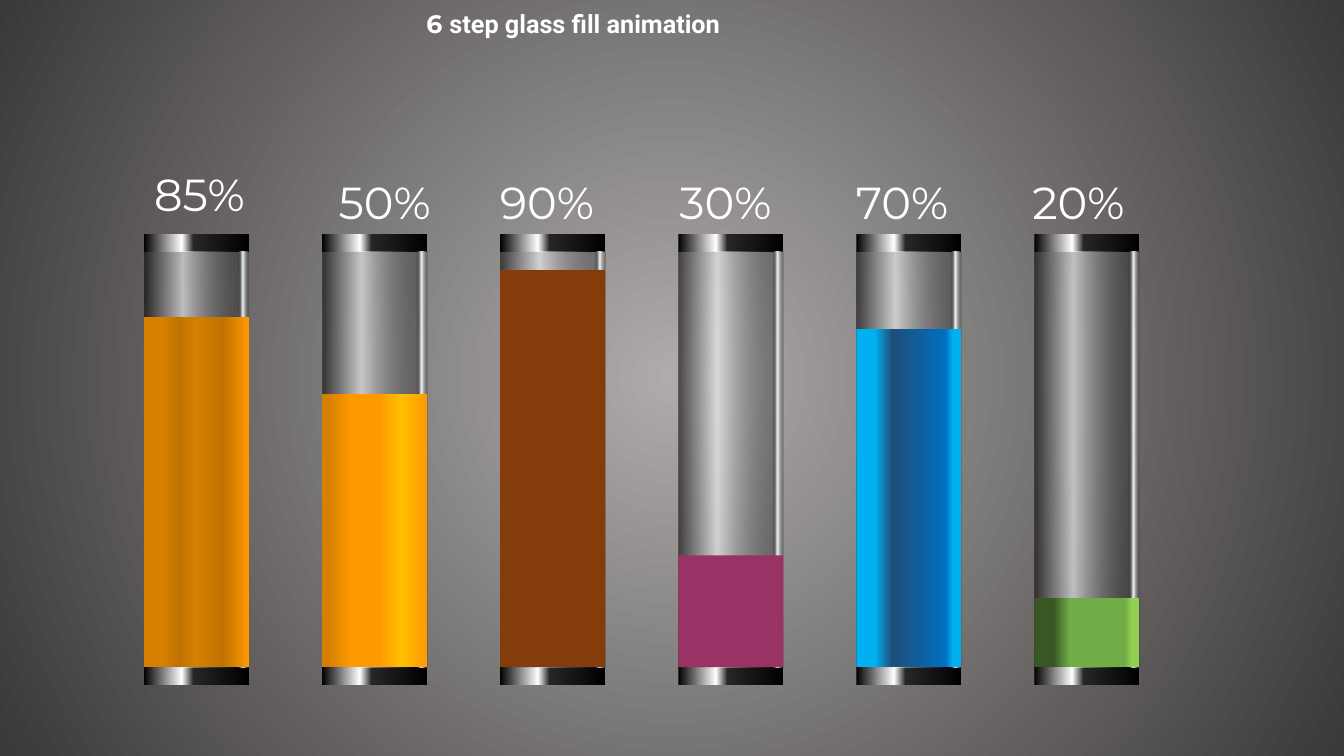
"""Build a slide with six glass tubes filled to different levels."""
from lxml import etree
from pptx import Presentation
from pptx.dml.color import RGBColor
from pptx.enum.shapes import MSO_SHAPE as SHAPE
from pptx.enum.text import MSO_AUTO_SIZE as AUTO_SIZE
from pptx.oxml.ns import qn
from pptx.util import Inches, Pt

WIDTH = 1.04
CAP_HEIGHT = 0.18
CAP_TOP, GLASS_TOP, GLASS_BOTTOM = 2.32, 2.5, 6.62
FIRST_LEFT, STEP = 1.43, 1.766

METAL = [(0, "000000"), (36, "FFFFFF"), (47, "262626"), (100, "000000")]
GLASS = [(0, "000000", 58), (37, "FFFFFF", 58), (89, "000000", 26),
         (92, "7C7D7F"), (94, "F7FAFD"), (100, "262626", 27)]
AMBER = [(5, "D67F00"), (18, "D67F00"), (34, "C07200"), (49, "D67F00"),
         (75, "C07200"), (100, "FF9900")]
GOLD = [(5, "D67F00"), (28, "FF9900"), (54, "FF9900"), (76, "FFC000"), (100, "FF9900")]
BLUE = [(5, "00B0F0"), (18, "00B0F0"), (34, "1F4E79"), (85, "0070C0"),
        (92, "00B0F0"), (100, "00B0F0")]
GREEN = [(5, "385723"), (18, "385723"), (34, "70AD47"), (86, "70AD47"),
         (93, "92D050"), (100, "92D050")]

TUBES = [
    ("85%", 1.43, 1.6, 3.14, AMBER),
    ("50%", 3.26, 1.68, 3.91, GOLD),
    ("90%", 4.86, 1.68, 2.68, "843C0B"),
    ("30%", 6.64, 1.68, 5.51, "993366"),
    ("70%", 8.39, 1.68, 3.26, BLUE),
    ("20%", 10.14, 1.68, 5.93, GREEN),
]


def paint(fill, element, color):
    """Fill with one hex colour or with (position, hex, opacity) stops."""
    if isinstance(color, str):
        fill.solid()
        fill.fore_color.rgb = RGBColor.from_string(color)
        return
    fill.gradient()
    fill.gradient_angle = 0
    stops = element.find(".//" + qn("a:gsLst"))
    for stop in list(stops):
        stops.remove(stop)
    for pos, rgb, *opacity in color:
        gs = etree.SubElement(stops, qn("a:gs"), pos=str(pos * 1000))
        clr = etree.SubElement(gs, qn("a:srgbClr"), val=rgb)
        for alpha in opacity:
            etree.SubElement(clr, qn("a:alpha"), val=str(alpha * 1000))


def add_bar(shapes, left, top, height, color):
    """Add one borderless rectangle of tube width."""
    sp = shapes.add_shape(SHAPE.RECTANGLE, Inches(left), Inches(top),
                          Inches(WIDTH), Inches(height))
    sp.shadow.inherit = False
    sp.line.fill.background()
    paint(sp.fill, sp.element, color)


prs = Presentation()
prs.slide_width, prs.slide_height = Inches(13.33), Inches(7.5)
s = prs.slides.add_slide(prs.slide_layouts[6])

paint(s.background.fill, s.element, [(0, "AFABAB"), (100, "3B3838")])
grad = s.element.find(".//" + qn("a:gradFill"))
grad.remove(grad.find(qn("a:lin")))
radial = etree.SubElement(grad, qn("a:path"), {"path": "circle"})
etree.SubElement(radial, qn("a:fillToRect"), dict.fromkeys("ltrb", "50000"))

for i, (label, label_left, label_top, level, liquid) in enumerate(TUBES):
    left = FIRST_LEFT + i * STEP
    tube = s.shapes.add_group_shape()
    for cap_top in (CAP_TOP, GLASS_BOTTOM):
        add_bar(tube.shapes, left, cap_top, CAP_HEIGHT, METAL)
    add_bar(tube.shapes, left, GLASS_TOP, GLASS_BOTTOM - GLASS_TOP, GLASS)
    add_bar(s.shapes, left, level, GLASS_BOTTOM - level, liquid)

title = [("6 ", "Montserrat"), ("step glass fill animation", "Roboto")]
texts = [(4.13, 0.03, 3.84, 0.4, 18, True, title)]
texts += [(left, top, 1.25, 0.64, 32, False, [(label, "Montserrat")])
          for label, left, top, *_ in TUBES]
for left, top, width, height, size, bold, runs in texts:
    box = s.shapes.add_textbox(Inches(left), Inches(top), Inches(width), Inches(height))
    tf = box.text_frame
    tf.word_wrap = False
    tf.auto_size = AUTO_SIZE.SHAPE_TO_FIT_TEXT
    p = tf.paragraphs[0]
    p.font.size = Pt(size)
    p.font.bold = bold
    p.font.color.rgb = RGBColor.from_string("FFFFFF")
    for text, font in runs:
        r = p.add_run()
        r.text = text
        r.font.name = font

prs.save("out.pptx")
